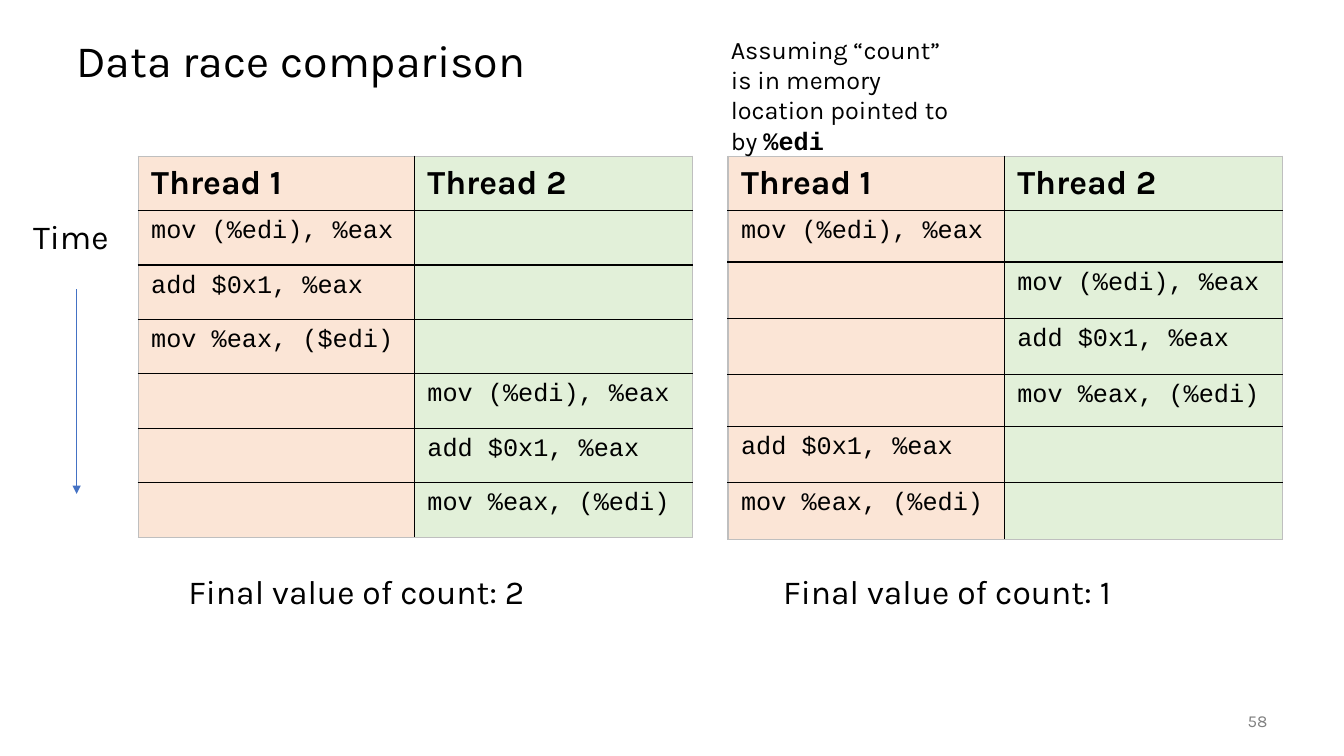
from dataclasses import dataclass

from lxml.etree import SubElement
from pptx import Presentation
from pptx.dml.color import RGBColor
from pptx.enum.shapes import MSO_CONNECTOR
from pptx.enum.text import MSO_ANCHOR, PP_ALIGN
from pptx.oxml.ns import qn
from pptx.util import Emu, Pt

PX = 9144  # EMU in one px, 100 px to the inch


@dataclass(frozen=True)
class Theme:
    sans: str = "Karla"
    mono: str = "Courier New"
    ink: str = "000000"
    muted: str = "808080"
    accent: str = "4472C4"
    edge: str = "BFBFBF"
    threads: tuple = ("FBE5D6", "E2F0D9")
    title: int = 32
    label: int = 24
    body: int = 18
    small: int = 12


class SlideBuilder:
    def __init__(self, deck, theme):
        self.theme = theme
        self.slide = deck.slides.add_slide(deck.slide_layouts[6])

    def px(self, *lengths):
        return [Emu(length * PX) for length in lengths]

    def span(self, para, text, size, **changes):
        span = para.add_run()
        span.text = text
        values = {"name": self.theme.sans, "size": Pt(size), "bold": False} | changes
        color = values.pop("color", self.theme.ink)
        for key, value in values.items():
            setattr(span.font, key, value)
        span.font.color.rgb = RGBColor.from_string(color)

    def text(self, place, text, size, anchor=MSO_ANCHOR.TOP, para_format=None, **changes):
        box = self.slide.shapes.add_textbox(*self.px(*place))
        frame = box.text_frame
        frame.word_wrap = True
        frame.vertical_anchor = anchor
        para = frame.paragraphs[0]
        for key, value in (para_format or {}).items():
            setattr(para, key, value)
        self.span(para, text, size, **changes)
        return para

    def arrow(self, start, end):
        line = self.slide.shapes.add_connector(
            MSO_CONNECTOR.STRAIGHT, *self.px(*start, *end))
        line.line.color.rgb = RGBColor.from_string(self.theme.accent)
        line.line.width = Pt(1)
        SubElement(line.line._get_or_add_ln(), qn("a:tailEnd"), type="triangle")
        SubElement(line._element.spPr, qn("a:effectLst"))

    def borders(self, cell, outer_sides):
        properties = cell._tc.get_or_add_tcPr()
        for side in "LRTB":
            line = SubElement(properties, qn(f"a:ln{side}"), w=str(Pt(1)))
            fill = SubElement(line, qn("a:solidFill"))
            color = self.theme.edge if side in outer_sides else self.theme.ink
            SubElement(fill, qn("a:srgbClr"), val=color)

    def schedule(self, left, top, widths, heights, steps):
        """Draw one thread table; steps are (thread column, instruction)."""
        place = self.px(left, top, sum(widths), sum(heights))
        table = self.slide.shapes.add_table(len(heights), len(widths), *place).table
        table.first_row = table.horz_banding = False
        for column, width in zip(table.columns, self.px(*widths)):
            column.width = width
        for row, height in zip(table.rows, self.px(*heights)):
            row.height = height

        margins = dict(zip(("margin_left", "margin_top", "margin_right", "margin_bottom"),
                           self.px(13, 7, 13, 7)))
        last_row, last_column = len(heights) - 1, len(widths) - 1
        for row in range(len(heights)):
            for column, fill in enumerate(self.theme.threads):
                cell = table.cell(row, column)
                for key, value in margins.items():
                    setattr(cell, key, value)
                on_edge = {"L": column == 0, "R": column == last_column,
                           "T": row == 0, "B": row == last_row}
                self.borders(cell, [side for side, outer in on_edge.items() if outer])
                cell.fill.solid()
                cell.fill.fore_color.rgb = RGBColor.from_string(fill)
                para = cell.text_frame.paragraphs[0]
                if row == 0:
                    self.span(para, f"Thread {column + 1}", self.theme.label, bold=True)
                elif steps[row - 1][0] == column:
                    self.span(para, steps[row - 1][1], self.theme.body, name=self.theme.mono)


def main():
    theme = Theme()
    deck = Presentation()
    deck.slide_width, deck.slide_height = Emu(1333 * PX), Emu(750 * PX)
    page = SlideBuilder(deck, theme)

    # Title and page number
    page.text((66, 25, 1200, 75), "Data race comparison", theme.title,
              MSO_ANCHOR.MIDDLE, {"line_spacing": 0.9})
    page.text((1167, 695, 100, 40), "58", theme.small, MSO_ANCHOR.MIDDLE,
              {"alignment": PP_ALIGN.RIGHT}, color=theme.muted)

    # Time axis
    page.text((23, 209, 109, 50), "Time", theme.label)
    page.arrow((76, 287), (76, 490))

    # The two interleavings with their results
    load, add, store = "mov (%edi), %eax", "add $0x1, %eax", "mov %eax, (%edi)"
    one_by_one = [(0, load), (0, add), (0, "mov %eax, ($edi)"),
                  (1, load), (1, add), (1, store)]
    interleaved = [(0, load), (1, load), (1, add), (1, store), (0, add), (0, store)]
    runs = [(137, 177, [54] * 7, one_by_one, 2),
            (722, 767, [54] + [51, 56, 56] * 2, interleaved, 1)]
    for table_left, result_left, heights, steps, count in runs:
        page.schedule(table_left, 155, (274, 276), heights, steps)
        page.text((result_left, 561, 460, 50), f"Final value of count: {count}", theme.label)

    # Assumption
    note = page.text((715, 29, 244, 101),
                     "Assuming “count” is in memory location pointed to by ", theme.body)
    page.span(note, "%edi", theme.body, name=theme.mono, bold=True)

    deck.save("out.pptx")


if __name__ == "__main__":
    main()
